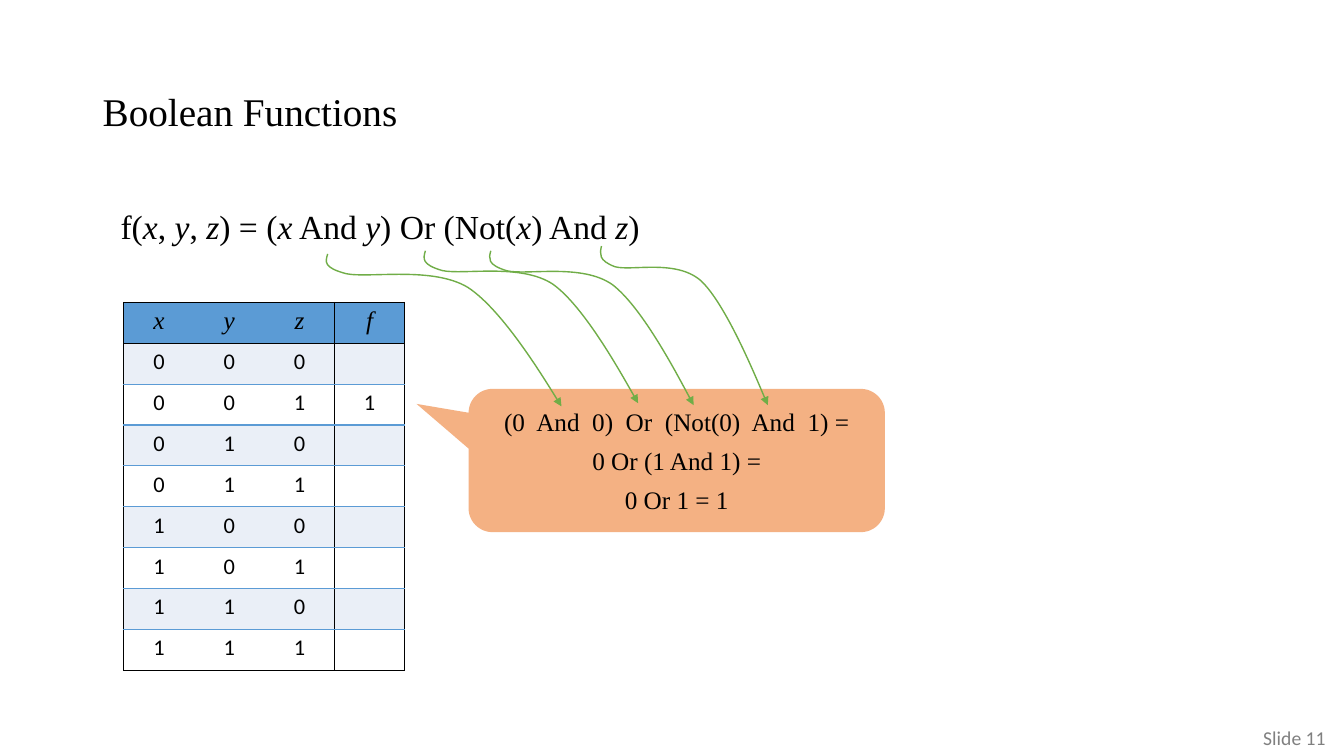
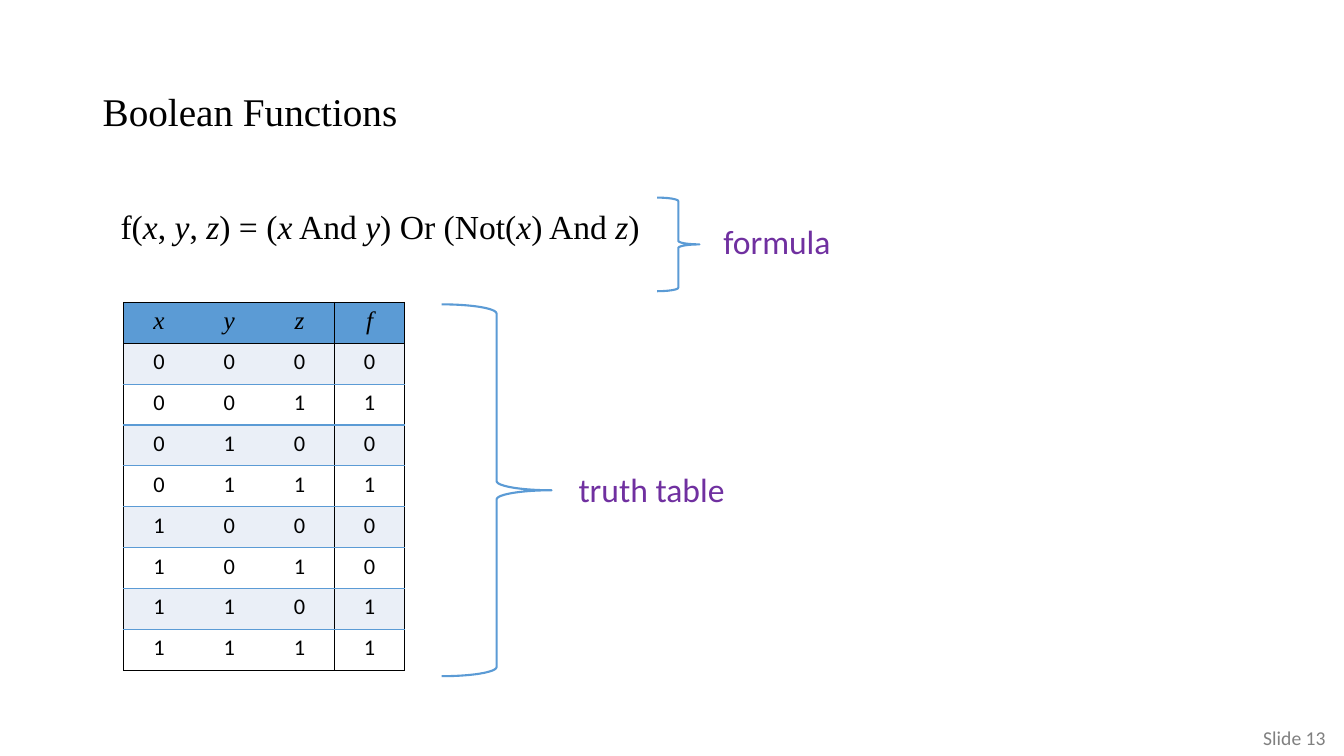
from dataclasses import dataclass
from itertools import groupby, product

from lxml.etree import SubElement
from pptx import Presentation
from pptx.dml.color import RGBColor
from pptx.enum.shapes import MSO_SHAPE as Shape
from pptx.enum.text import MSO_ANCHOR as Anchor, MSO_AUTO_SIZE as AutoSize, PP_ALIGN as Align
from pptx.oxml.ns import qn
from pptx.util import Cm, Pt

# Content
TITLE = "Boolean Functions"
FORMULA = "f(x, y, z) = (x And y) Or (Not(x) And z)"
VARIABLES = "xyz"
HEADERS = ("x", "y", "z", "f")
INPUTS = list(product("01", repeat=3))
ONE_RESULT = ("", "1", "", "", "", "", "", "")
ALL_RESULTS = ("0", "1", "0", "1", "0", "0", "1", "1")
EVALUATION = (
    "(0  And  0)  Or  (Not(0)  And  1) =",
    "0 Or (1 And 1) =",
    "0 Or 1 = 1",
)

# Places in cm: left, top, width, height
TITLE_AREA = (2.34, 1.02, 21.59, 3.68)
FORMULA_AREA = (2.79, 5.18, 21.59, 12.09)
FOOTER_AREA = (2.29, 18.16, 31.12, 0.86)
CALLOUT_AREA = (11.81, 9.8, 10.49, 3.61)
TABLE_LEFT, TABLE_TOP, COLUMN, ROW = 3.12, 7.62, 1.77, 1.03
BRACES = (
    ("formula", (16.56, 4.98, 1.07, 2.36), (17.98, 5.44, 3.25, 1.27)),
    ("truth table", (11.13, 7.67, 2.77, 9.37), (14.33, 11.68, 4.24, 1.27)),
)

# Arrows from the formula to its values: start and end in cm
ARROWS = (
    ((8.26, 6.4), (14.15, 10.24)),
    ((10.72, 6.32), (16.08, 10.16)),
    ((12.37, 6.32), (17.48, 10.21)),
    ((15.16, 6.2), (19.35, 10.21)),
)
# Three curves, as fractions of the way from start to end
ARROW_CURVE = (
    (-0.01, 0.05), (-0.02, 0.09), (0.08, 0.13),
    (0.18, 0.16), (0.45, 0.08), (0.6, 0.22),
    (0.75, 0.37), (1, 1), (1, 1),
)


@dataclass(frozen=True)
class Theme:
    serif: str = "Times New Roman"
    sans: str = "Calibri"
    black: str = "000000"
    grey: str = "808080"
    white: str = "FFFFFF"
    blue: str = "5B9BD5"
    pale: str = "EAEFF7"
    orange: str = "F4B183"
    green: str = "70AD47"
    purple: str = "7030A0"
    title: int = 28
    large: int = 24
    body: int = 18
    cell: int = 16
    footer: int = 14


THEME = Theme()


def rgb(value):
    return RGBColor.from_string(value)


def style(span, size, font, color=THEME.black, italic=False):
    span.font.size = Pt(size)
    span.font.name = font
    span.font.color.rgb = rgb(color)
    span.font.italic = italic


def add_text(shapes, area, text, size, font, color=THEME.black, align=Align.LEFT):
    box = shapes.add_textbox(*map(Cm, area))
    frame = box.text_frame
    frame.word_wrap = True
    frame.text = text
    para = frame.paragraphs[0]
    para.alignment = align
    for span in para.runs:
        style(span, size, font, color)
    return frame


# Shared slide parts
def add_page(deck, number):
    page = deck.slides.add_slide(deck.slide_layouts[6])
    footer = add_text(page.shapes, FOOTER_AREA, f"Slide {number}", THEME.footer,
                      THEME.sans, THEME.grey, Align.RIGHT)
    footer.margin_left = footer.margin_right = 0
    title = add_text(page.shapes, TITLE_AREA, TITLE, THEME.title, THEME.serif)
    footer.vertical_anchor = title.vertical_anchor = Anchor.MIDDLE
    formula = add_text(page.shapes, FORMULA_AREA, "", THEME.large, THEME.serif)
    for italic, letters in groupby(FORMULA, lambda letter: letter in VARIABLES):
        span = formula.paragraphs[0].add_run()
        span.text = "".join(letters)
        style(span, THEME.large, THEME.serif, italic=italic)
    for frame in (title, formula):
        frame.paragraphs[0].line_spacing = 0.9
    return page


# Truth table
def set_borders(cell, colors):
    properties = cell._tc.get_or_add_tcPr()
    for index, (side, color) in enumerate(zip("LRTB", colors)):
        line = SubElement(properties, qn(f"a:ln{side}"), w=str(Pt(1)))
        if color:
            SubElement(SubElement(line, qn("a:solidFill")), qn("a:srgbClr"), val=color)
        else:
            SubElement(line, qn("a:noFill"))
        properties.insert(index, line)


def add_truth_table(page, results):
    rows = [HEADERS] + [(*inputs, result) for inputs, result in zip(INPUTS, results)]
    columns, last = len(HEADERS), len(rows) - 1
    table = page.shapes.add_table(len(rows), columns, Cm(TABLE_LEFT), Cm(TABLE_TOP),
                                  Cm(COLUMN * columns), Cm(ROW * len(rows))).table
    table.first_row = table.horz_banding = False
    for column in table.columns:
        column.width = Cm(COLUMN)
    for r, values in enumerate(rows):
        table.rows[r].height = Cm(ROW)
        fill = THEME.blue if r == 0 else THEME.pale if r % 2 else THEME.white
        top = THEME.black if r < 2 else THEME.blue
        bottom = THEME.black if r in (0, last) else THEME.blue
        for c, value in enumerate(values):
            cell = table.cell(r, c)
            cell.fill.solid()
            cell.fill.fore_color.rgb = rgb(fill)
            left = THEME.black if c in (0, columns - 1) else None
            right = THEME.black if c >= columns - 2 else None
            set_borders(cell, (left, right, top, bottom))
            cell.text_frame.text = value
            para = cell.text_frame.paragraphs[0]
            para.alignment = Align.CENTER
            for span in para.runs:
                if r == 0:
                    style(span, THEME.body, THEME.serif, italic=True)
                else:
                    style(span, THEME.cell, THEME.sans)


# Worked evaluation
def add_callout(page):
    box = page.shapes.add_shape(Shape.ROUNDED_RECTANGULAR_CALLOUT, *map(Cm, CALLOUT_AREA))
    for index, value in enumerate((-0.625, -0.395, 0.167)):
        box.adjustments[index] = value
    box.shadow.inherit = False
    box.fill.solid()
    box.fill.fore_color.rgb = rgb(THEME.orange)
    box.line.fill.background()
    frame = box.text_frame
    frame.word_wrap = True
    frame.vertical_anchor = Anchor.MIDDLE
    frame.text = "\n".join(EVALUATION)
    for index, para in enumerate(frame.paragraphs):
        para.alignment = Align.CENTER
        if index:
            para.space_before = Pt(6)
        style(para.runs[0], THEME.body, THEME.serif)


def add_curved_arrow(page, start, end):
    (x, y), (end_x, end_y) = start, end
    points = [(Cm(x + across * (end_x - x)), Cm(y + down * (end_y - y)))
              for across, down in ARROW_CURVE]
    builder = page.shapes.build_freeform(Cm(x), Cm(y))
    builder.add_line_segments(points, close=False)
    arrow = builder.convert_to_shape()
    arrow.shadow.inherit = False
    arrow.fill.background()
    arrow.line.color.rgb = rgb(THEME.green)
    arrow.line.width = Pt(1)
    SubElement(arrow.line._get_or_add_ln(), qn("a:tailEnd"), type="triangle")
    # Each three straight segments become one cubic curve
    outline = next(arrow.element.iter(qn("a:path")))
    segments = outline.findall(qn("a:lnTo"))
    for first in range(0, len(segments), 3):
        curve = SubElement(outline, qn("a:cubicBezTo"))
        for segment in segments[first:first + 3]:
            curve.append(segment[0])
            outline.remove(segment)


# Labelled braces
def add_brace(page, label, brace_area, label_area):
    group = page.shapes.add_group_shape()
    brace = group.shapes.add_shape(Shape.RIGHT_BRACE, *map(Cm, brace_area))
    brace.shadow.inherit = False
    brace.fill.background()
    brace.line.color.rgb = rgb(THEME.blue)
    brace.line.width = Pt(1.5)
    frame = add_text(group.shapes, label_area, label, THEME.large, THEME.sans, THEME.purple)
    frame.word_wrap = False
    frame.auto_size = AutoSize.SHAPE_TO_FIT_TEXT


def main():
    deck = Presentation()
    deck.slide_width, deck.slide_height = Cm(33.87), Cm(19.05)

    page = add_page(deck, 11)
    add_callout(page)
    add_truth_table(page, ONE_RESULT)
    for start, end in ARROWS:
        add_curved_arrow(page, start, end)

    page = add_page(deck, 13)
    add_truth_table(page, ALL_RESULTS)
    for brace in BRACES:
        add_brace(page, *brace)

    deck.save("out.pptx")


if __name__ == "__main__":
    main()
